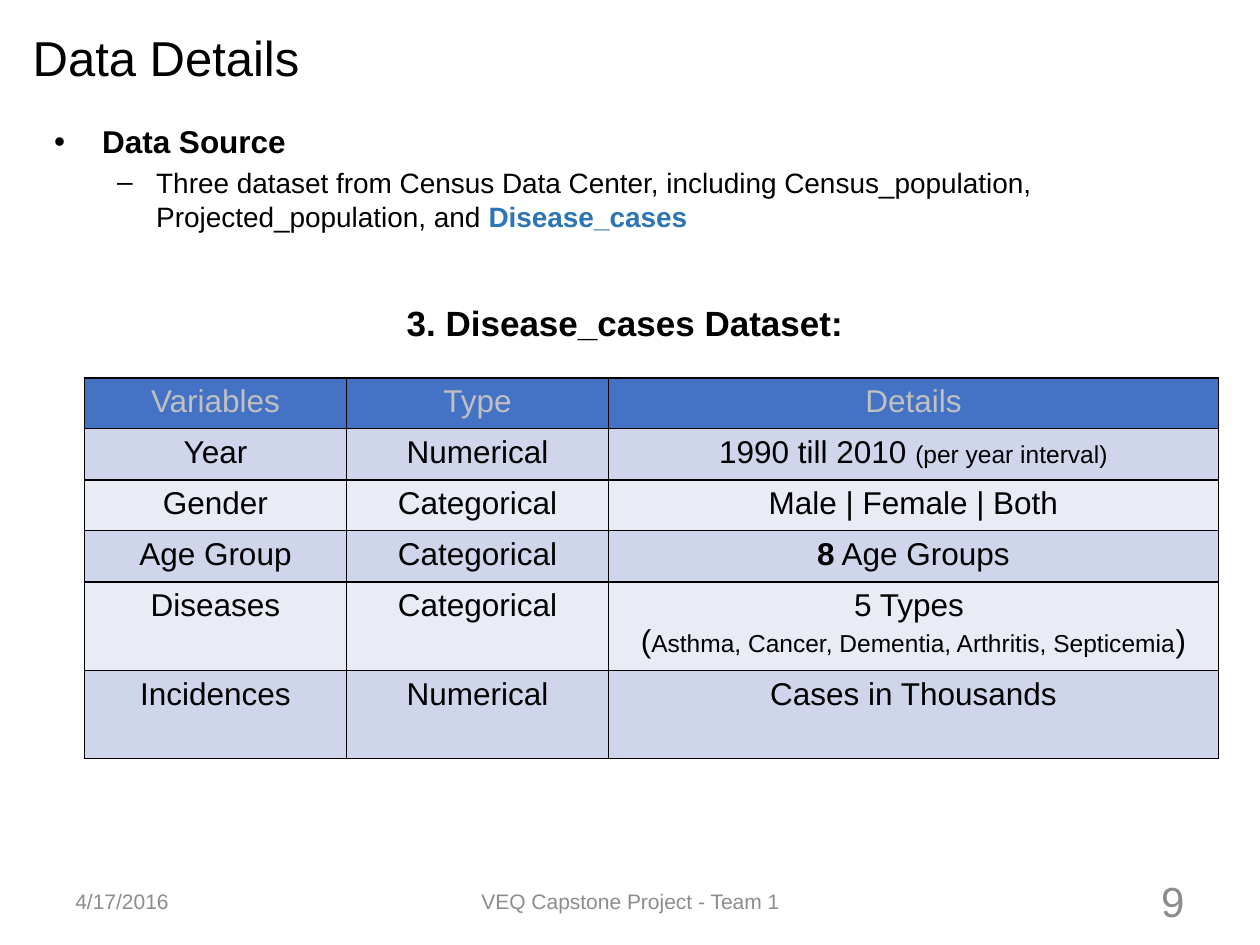
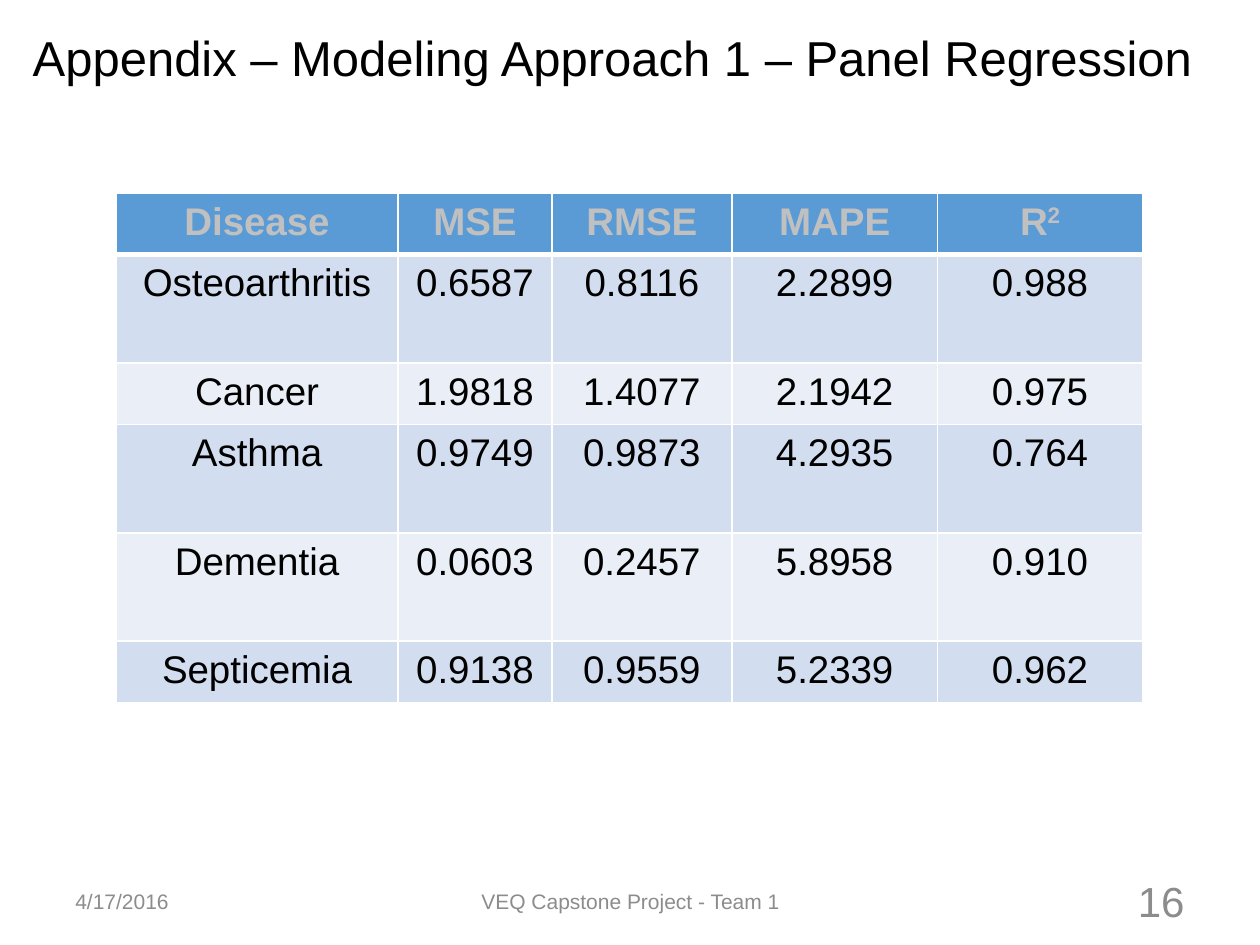
from lxml import etree
from pptx import Presentation
from pptx.dml.color import RGBColor
from pptx.enum.text import MSO_ANCHOR, MSO_AUTO_SIZE, PP_ALIGN
from pptx.oxml.ns import qn
from pptx.util import Inches, Pt

FONT = "Arial"
BLACK = RGBColor(0x00, 0x00, 0x00)
WHITE = RGBColor(0xFF, 0xFF, 0xFF)
SILVER = RGBColor(0xC0, 0xC0, 0xC0)
FOOTER_GRAY = RGBColor(0x8C, 0x8C, 0x8C)
ACCENT_BLUE = RGBColor(0x2E, 0x75, 0xB6)
HEADER_INDIGO = RGBColor(0x44, 0x72, 0xC4)
INDIGO_BANDS = (RGBColor(0xCF, 0xD5, 0xEA), RGBColor(0xE9, 0xEB, 0xF5))
HEADER_SKY = RGBColor(0x5B, 0x9B, 0xD5)
SKY_BANDS = (RGBColor(0xD2, 0xDE, 0xEF), RGBColor(0xEA, 0xEF, 0xF7))

TITLE_BOX = (0.16, 0.14, 9.67, 0.62)
TITLE_AND_CONTENT, TITLE_ONLY = 1, 5
DATE = "4/17/2016"
FOOTER = "VEQ Capstone Project - Team 1"

# Rich text is a list of paragraphs, each a list of (text, format) runs.
SMALL = {"size": 14}
DATA_SOURCE = [
    [("Data Source", {"size": 18, "bold": True})],
    [
        ("Three dataset from Census Data Center, including Census_population, "
         "Projected_population, and ", {}),
        ("Disease_cases", {"color": ACCENT_BLUE, "bold": True}),
    ],
]
BULLET_INDENTS = [(0.38, -0.38), (0.81, -0.31)]

VARIABLES = {
    "rows": [
        ["Variables", "Type", "Details"],
        ["Year", "Numerical",
         [[("1990 till 2010 ", {}), ("(per year interval)", SMALL)]]],
        ["Gender", "Categorical", "Male | Female | Both"],
        ["Age Group", "Categorical", [[("8", {"bold": True}), (" Age Groups", {})]]],
        ["Diseases", "Categorical",
         [[("5 Types ", {})],
          [("(", {}), ("Asthma, Cancer, Dementia, Arthritis, Septicemia", SMALL),
           (")", {})]]],
        ["Incidences", "Numerical", "Cases in Thousands"],
    ],
    "left": 0.67, "top": 3,
    "widths": [2.08, 2.08, 4.84],
    "heights": [0.4, 0.41, 0.4, 0.41, 0.7, 0.7],
    "size": 18, "header_bold": False,
    "header_fill": HEADER_INDIGO, "bands": INDIGO_BANDS,
    "line": BLACK, "header_line_width": 1, "margins": (0.1, 0.05),
}

MODEL_FIT = {
    "rows": [
        ["Disease", "MSE", "RMSE", "MAPE", [[("R", {}), ("2", {"baseline": 30})]]],
        ["Osteoarthritis", "0.6587", "0.8116", "2.2899", "0.988"],
        ["Cancer", "1.9818", "1.4077", "2.1942", "0.975"],
        ["Asthma", "0.9749", "0.9873", "4.2935", "0.764"],
        ["Dementia", "0.0603", "0.2457", "5.8958", "0.910"],
        ["Septicemia", "0.9138", "0.9559", "5.2339", "0.962"],
    ],
    "left": 0.92, "top": 1.53,
    "widths": [2.24, 1.22, 1.43, 1.63, 1.63],
    "heights": [0.49, 0.86, 0.49, 0.86, 0.86, 0.49],
    "size": 22, "header_bold": True,
    "header_fill": HEADER_SKY, "bands": SKY_BANDS,
    "line": WHITE, "header_line_width": 3, "margins": (0.12, 0.06),
}


def write_text(frame, content, size=18, color=BLACK, bold=False, align=PP_ALIGN.LEFT):
    """Fill a text frame from a string or rich text; runs may override the format."""
    paragraphs = [[(content, {})]] if isinstance(content, str) else content
    for index, runs in enumerate(paragraphs):
        paragraph = frame.add_paragraph() if index else frame.paragraphs[0]
        paragraph.alignment = align
        for words, changes in runs:
            run = paragraph.add_run()
            run.text = words
            run.font.name = FONT
            run.font.size = Pt(changes.get("size", size))
            run.font.bold = changes.get("bold", bold)
            run.font.color.rgb = changes.get("color", color)
            if "baseline" in changes:
                run._r.get_or_add_rPr().set("baseline", str(changes["baseline"] * 1000))


def place(shape, box, anchor):
    """Move a text shape to its box and return its text frame."""
    shape.left, shape.top, shape.width, shape.height = map(Inches, box)
    frame = shape.text_frame
    frame.word_wrap = True
    frame.auto_size = MSO_AUTO_SIZE.NONE
    frame.vertical_anchor = anchor
    return frame


def add_text_box(slide, box, content, anchor=MSO_ANCHOR.MIDDLE, **text_format):
    shape = slide.shapes.add_textbox(*map(Inches, box))
    write_text(place(shape, box, anchor), content, **text_format)


def add_slide(presentation, layout, title, number):
    """Add a slide with the shared title, date, footer and page number."""
    slide = presentation.slides.add_slide(presentation.slide_layouts[layout])
    slide.background.fill.solid()
    slide.background.fill.fore_color.rgb = WHITE
    write_text(place(slide.shapes.title, TITLE_BOX, MSO_ANCHOR.MIDDLE), title, size=28)
    for left, width, content, size, align in (
        (0.5, 2.33, DATE, 12, PP_ALIGN.LEFT),
        (3.42, 3.17, FOOTER, 12, PP_ALIGN.CENTER),
        (7.17, 2.33, str(number), 24, PP_ALIGN.RIGHT),
    ):
        add_text_box(slide, (left, 6.95, width, 0.4), content,
                     size=size, color=FOOTER_GRAY, align=align)
    return slide


def add_border(cell, edge, color, width):
    line = etree.SubElement(cell._tc.get_or_add_tcPr(), qn(f"a:{edge}"), w=str(Pt(width)))
    fill = etree.SubElement(line, qn("a:solidFill"))
    etree.SubElement(fill, qn("a:srgbClr"), val=str(color))


def add_data_table(slide, data):
    rows, widths, heights = data["rows"], data["widths"], data["heights"]
    box = (data["left"], data["top"], sum(widths), sum(heights))
    table = slide.shapes.add_table(len(rows), len(widths), *map(Inches, box)).table
    table.first_row = table.horz_banding = False
    for column, width in zip(table.columns, widths):
        column.width = Inches(width)
    for row_index, (row, height) in enumerate(zip(rows, heights)):
        table.rows[row_index].height = Inches(height)
        is_header = row_index == 0
        for column_index, content in enumerate(row):
            cell = table.cell(row_index, column_index)
            side, vertical = map(Inches, data["margins"])
            cell.margin_left = cell.margin_right = side
            cell.margin_top = cell.margin_bottom = vertical
            for edge in ("lnL", "lnR", "lnT", "lnB"):
                under_header = (row_index, edge) in ((0, "lnB"), (1, "lnT"))
                width = data["header_line_width"] if under_header else 1
                add_border(cell, edge, data["line"], width)
            cell.fill.solid()
            cell.fill.fore_color.rgb = (
                data["header_fill"] if is_header else data["bands"][(row_index - 1) % 2])
            write_text(cell.text_frame, content, size=data["size"],
                       color=SILVER if is_header else BLACK,
                       bold=is_header and data["header_bold"], align=PP_ALIGN.CENTER)


def add_data_details(presentation):
    slide = add_slide(presentation, TITLE_AND_CONTENT, "Data Details", 9)
    frame = place(slide.placeholders[1], (0.33, 0.92, 8.92, 1.25), MSO_ANCHOR.TOP)
    write_text(frame, DATA_SOURCE, size=16)
    for level, (paragraph, indents) in enumerate(zip(frame.paragraphs, BULLET_INDENTS)):
        paragraph.level = level
        properties = paragraph._p.get_or_add_pPr()
        for name, indent in zip(("marL", "indent"), indents):
            properties.set(name, str(Inches(indent)))
    add_text_box(slide, (0.5, 2.34, 8.92, 0.44), "3. Disease_cases Dataset:",
                 anchor=MSO_ANCHOR.TOP, size=20, bold=True, align=PP_ALIGN.CENTER)
    add_data_table(slide, VARIABLES)


def add_panel_regression(presentation):
    slide = add_slide(presentation, TITLE_ONLY,
                      "Appendix – Modeling Approach 1 – Panel Regression", 16)
    add_data_table(slide, MODEL_FIT)


def main():
    presentation = Presentation()
    presentation.slide_width, presentation.slide_height = Inches(10), Inches(7.5)
    add_data_details(presentation)
    add_panel_regression(presentation)
    presentation.save("out.pptx")


if __name__ == "__main__":
    main()
